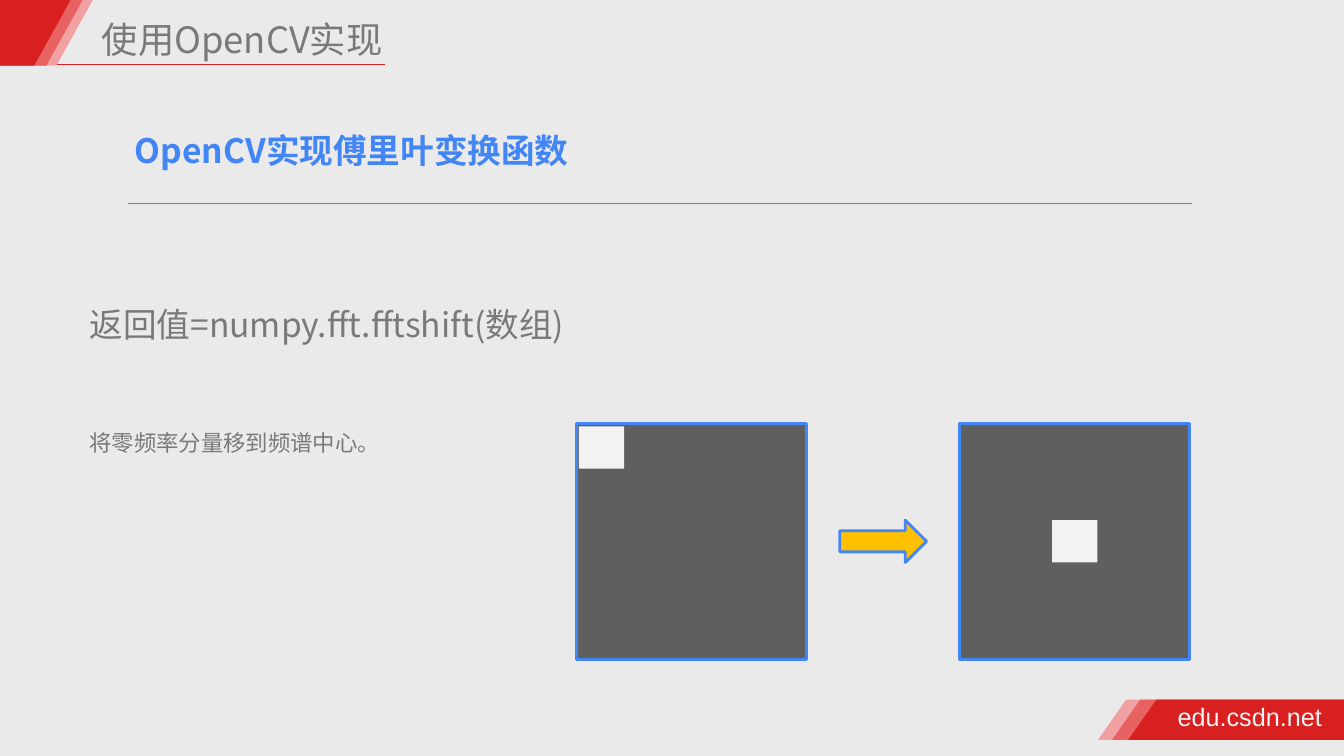
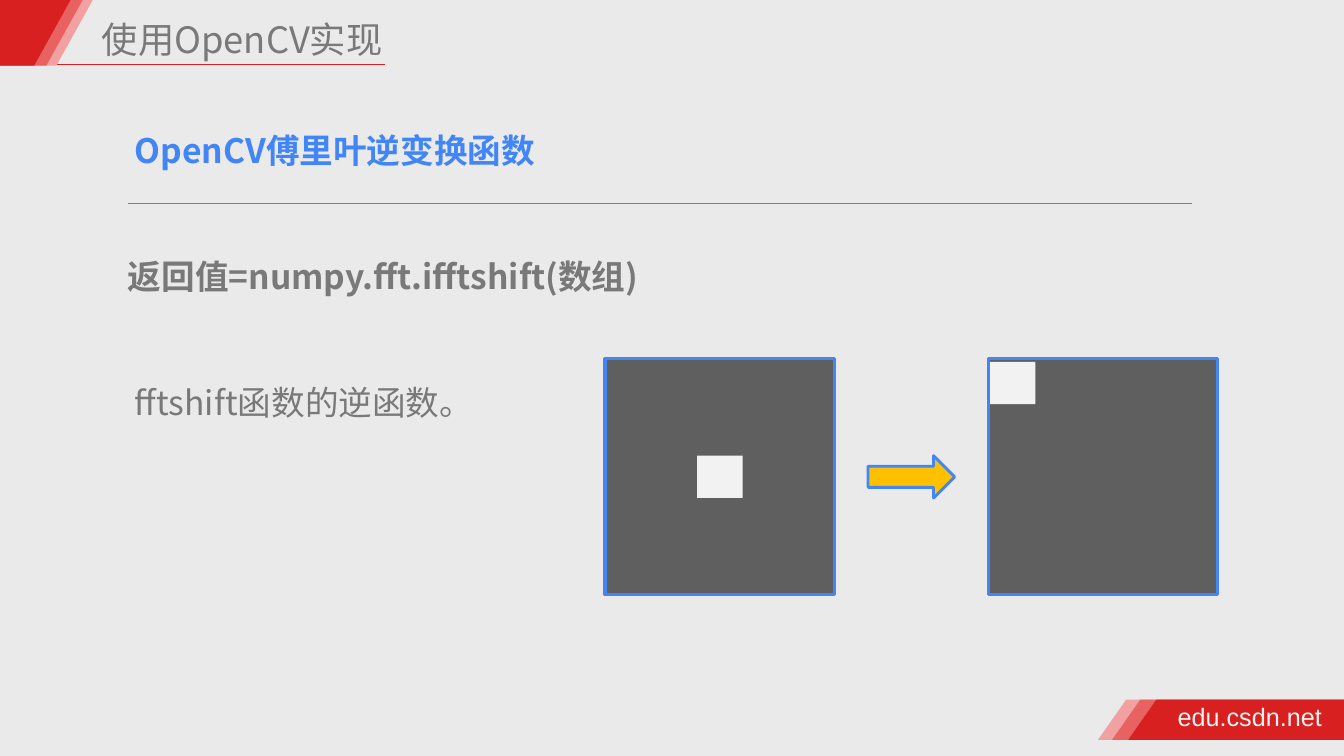
import pptx
import pptx.util
import pptx.dml.color
import pptx.oxml
import pptx.oxml.ns
from pptx.enum.shapes import MSO_CONNECTOR, MSO_SHAPE
from pptx.enum.text import MSO_ANCHOR, MSO_AUTO_SIZE, PP_ALIGN
from pptx.util import Inches

GROUND, GREY, RULE, BLUE = "EAEAEA", "797979", "808080", "4285F4"
PALE, ROSE, RED = "F1A1A1", "E86262", "D82020"
PANEL, WHITE, AMBER = "5F5F5F", "F2F2F2", "FFC000"
FONT = "Noto Sans CJK SC"
PANEL_W, PANEL_H, CELL_W, CELL_H = 2.28, 2.34, 0.45, 0.42
ARROW_W = 0.86
PANEL_STEP = 3.8


def rgb(color):
    return pptx.dml.color.RGBColor.from_string(color)


def paint(shape, fill, line=None, width=1):
    shape.shadow.inherit = False
    shape.fill.solid()
    shape.fill.fore_color.rgb = rgb(fill)
    if line:
        shape.line.color.rgb = rgb(line)
        shape.line.width = pptx.util.Pt(width)
    else:
        shape.line.fill.background()


def add_block(s, kind, x, y, w, h, fill, line=None, width=1):
    shape = s.shapes.add_shape(kind, Inches(x), Inches(y), Inches(w), Inches(h))
    paint(shape, fill, line, width)


def add_outline(s, points, fill):
    """Draw a closed polygon through points given in inches."""
    corners = [(Inches(x), Inches(y)) for x, y in points]
    builder = s.shapes.build_freeform(*corners[0])
    builder.add_line_segments(corners[1:], close=True)
    paint(builder.convert_to_shape(), fill)


def add_rule(s, x1, x2, y, color, width):
    line = s.shapes.add_connector(MSO_CONNECTOR.STRAIGHT, Inches(x1), Inches(y),
                                  Inches(x2), Inches(y))
    line.line.color.rgb = rgb(color)
    line.line.width = pptx.util.Pt(width)
    pptx.oxml.ns.qn("a:effectLst")
    line.element.spPr.append(pptx.oxml.parse_xml(
        f'<a:effectLst {pptx.oxml.ns.nsdecls("a")}/>'))


def write(tf, text, size=24, color=GREY, bold=False, font=FONT, leading=1.2,
          side_inset=0.1):
    """Fill a text frame; leading is the line height as a multiple of size."""
    tf.word_wrap = True
    tf.auto_size = MSO_AUTO_SIZE.NONE
    tf.vertical_anchor = MSO_ANCHOR.TOP
    tf.margin_left = tf.margin_right = Inches(side_inset)
    tf.margin_top = tf.margin_bottom = Inches(0.05)
    p = tf.paragraphs[0]
    p.alignment = PP_ALIGN.LEFT
    p.line_spacing = pptx.util.Pt(round(size * leading, 1))
    r = p.add_run()
    r.text = text
    r.font.size = pptx.util.Pt(size)
    r.font.bold = bold
    r.font.color.rgb = rgb(color)
    r.font.name = font
    r.font._element.append(pptx.oxml.parse_xml(
        f'<a:ea {pptx.oxml.ns.nsdecls("a")} typeface="{font}"/>'))


def add_text(s, x, y, w, h, text, **fmt):
    box = s.shapes.add_textbox(Inches(x), Inches(y), Inches(w), Inches(h))
    write(box.text_frame, text, **fmt)


def prepare_layout(prs):
    """Set the background and title place on the Title Only layout."""
    prs.slide_master.background.fill.solid()
    prs.slide_master.background.fill.fore_color.rgb = rgb(GROUND)
    layout = prs.slide_layouts[5]
    title, *footers = layout.placeholders
    for footer in footers:
        layout.shapes.element.remove(footer.element)
    title.left, title.top = Inches(0.96), Inches(0.05)
    title.width, title.height = Inches(3.86), Inches(0.62)
    return layout


def move_frame_to_layout(s, layout):
    """Draw the bands and web address once, then hand them to the layout."""
    add_rule(s, 0.49, 3.82, 0.64, RED, 1)
    for x, color in zip((10.89, 11.03, 11.19), (PALE, ROSE, RED)):
        add_outline(s, [(x, 7.34), (x + 0.28, 6.94), (13.33, 6.94), (13.33, 7.34)], color)
    for x, color in zip((0.92, 0.82, 0.7), (PALE, ROSE, RED)):
        add_outline(s, [(0, 0), (x, 0), (x - 0.36, 0.65), (0, 0.65)], color)
    add_text(s, 11.63, 6.92, 1.6, 0.4, "edu.csdn.net", size=18, color=WHITE,
             font="Arial", leading=1.15, side_inset=0.05)
    for shape in list(s.shapes):
        if not shape.is_placeholder:
            layout.shapes.element.append(shape.element)


def add_headings(s, heading):
    write(s.shapes.title.text_frame, "使用OpenCV实现", size=25.9, leading=1.4,
          side_inset=0.05)
    add_text(s, 1.24, 1.24, 4.7, 0.5, heading, color=BLUE, bold=True)
    add_rule(s, 1.27, 11.82, 2.02, RULE, 0.75)


def add_spectrum(s, x, y, centred):
    """Draw a dark panel with its white cell in the middle or top left corner."""
    add_block(s, MSO_SHAPE.RECTANGLE, x, y, PANEL_W, PANEL_H, PANEL, BLUE, 2.25)
    dx, dy = (0.02, 0.03)
    if centred:
        dx, dy = (PANEL_W - CELL_W) / 2, (PANEL_H - CELL_H) / 2
    add_block(s, MSO_SHAPE.RECTANGLE, x + dx, y + dy, CELL_W, CELL_H, WHITE)


def add_shift(s, x, y, ends_centred):
    add_spectrum(s, x, y, not ends_centred)
    add_spectrum(s, x + PANEL_STEP, y, ends_centred)
    add_block(s, MSO_SHAPE.RIGHT_ARROW, x + (PANEL_STEP + PANEL_W - ARROW_W) / 2,
              y + (PANEL_H - CELL_H) / 2, ARROW_W, CELL_H, AMBER, BLUE, 2)


def main():
    prs = pptx.Presentation()
    prs.slide_width, prs.slide_height = Inches(13.33), Inches(7.5)
    layout = prepare_layout(prs)

    s = prs.slides.add_slide(layout)
    move_frame_to_layout(s, layout)
    add_headings(s, "OpenCV实现傅里叶变换函数")
    add_text(s, 0.79, 2.97, 5.06, 0.9, "返回值=numpy.fft.fftshift(数组)")
    add_text(s, 0.79, 4.21, 3.12, 0.37, "将零频率分量移到频谱中心。", size=16)
    add_shift(s, 5.72, 4.2, ends_centred=True)

    s = prs.slides.add_slide(layout)
    add_headings(s, "OpenCV傅里叶逆变换函数")
    add_text(s, 1.17, 2.49, 5.3, 0.9, "返回值=numpy.fft.ifftshift(数组)", bold=True)
    add_text(s, 1.24, 3.74, 3.5, 0.9, "fftshift函数的逆函数。")
    add_shift(s, 6, 3.56, ends_centred=False)

    prs.save("out.pptx")


if __name__ == "__main__":
    main()
